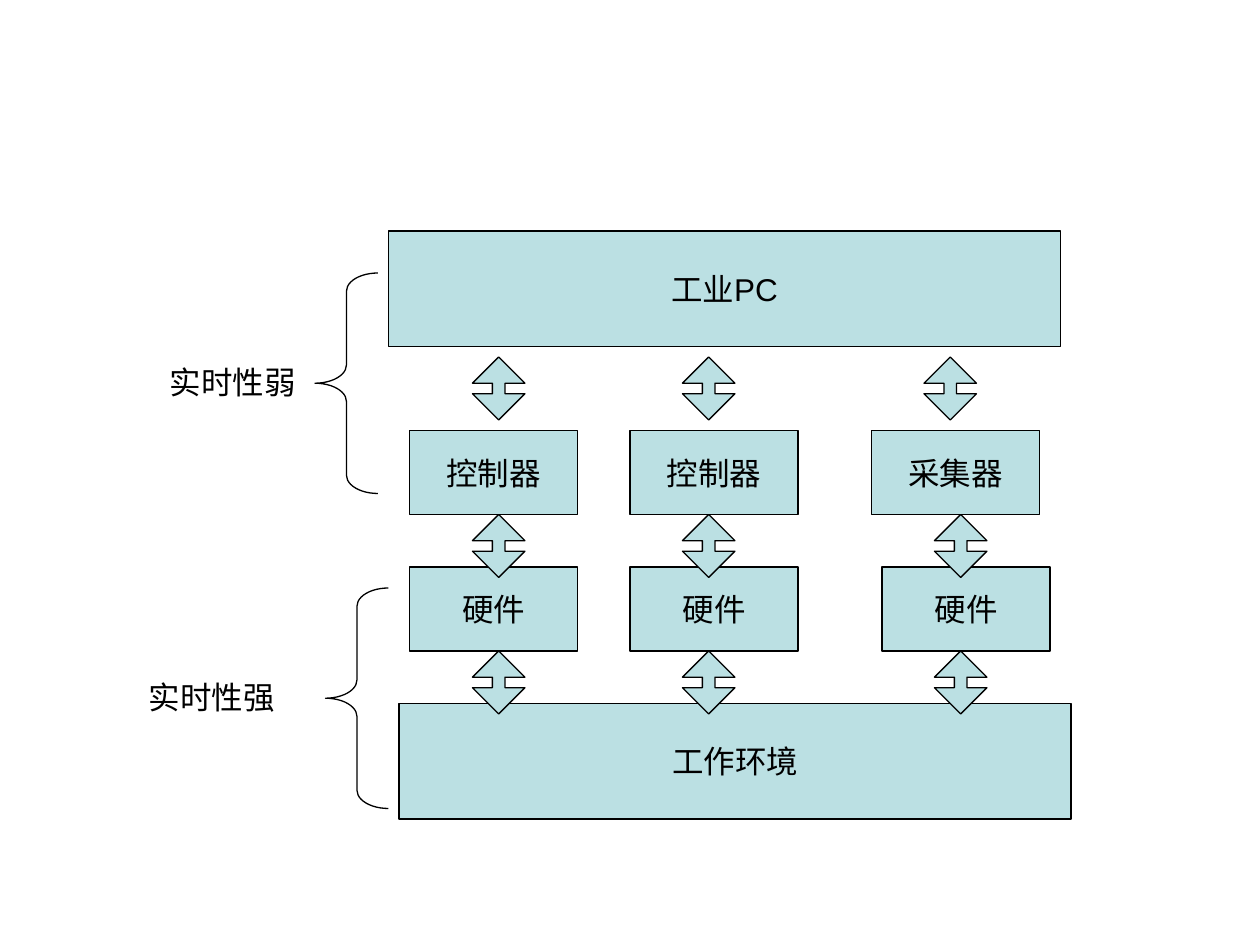
from pptx import Presentation
from pptx.dml.color import RGBColor
from pptx.enum.shapes import MSO_SHAPE
from pptx.enum.text import MSO_ANCHOR, MSO_AUTO_SIZE, PP_ALIGN
from pptx.util import Pt

RECTANGLE = MSO_SHAPE.RECTANGLE
DOUBLE_ARROW = MSO_SHAPE.UP_DOWN_ARROW
LEFT_BRACE = MSO_SHAPE.LEFT_BRACE
MIDDLE = MSO_ANCHOR.MIDDLE
FIT_SHAPE = MSO_AUTO_SIZE.SHAPE_TO_FIT_TEXT
CENTER = PP_ALIGN.CENTER

COLORS = {"fill": "BBE0E3", "ink": "000000"}
FONT = "Arial"
BAR_SIZE = (384, 66)
UNIT_SIZE = (96, 48)
ARROW_SIZE = (30, 36)
BRACE_SIZE = (36, 126)
LABEL_SIZE = (120, 29)


def color(name):
    return RGBColor.from_string(COLORS[name])


def write(text_frame, text):
    text_frame.text = text
    paragraph = text_frame.paragraphs[0]
    font = paragraph.runs[0].font
    font.name, font.size = FONT, Pt(18)
    font.color.rgb = color("ink")
    return paragraph


def add_outlined(slide, kind, left, top, size, filled=True):
    shape = slide.shapes.add_shape(kind, Pt(left), Pt(top), Pt(size[0]), Pt(size[1]))
    shape.shadow.inherit = False
    if filled:
        shape.fill.solid()
        shape.fill.fore_color.rgb = color("fill")
    else:
        shape.fill.background()
    shape.line.color.rgb = color("ink")
    shape.line.width = Pt(0.75)
    return shape


def add_box(slide, left, top, size, text):
    shape = add_outlined(slide, RECTANGLE, left, top, size)
    shape.text_frame.word_wrap = False
    shape.text_frame.vertical_anchor = MIDDLE
    write(shape.text_frame, text).alignment = CENTER


def add_layers(slide, left, top):
    """Stack the PC, its units, their hardware and the environment."""
    add_box(slide, left, top, BAR_SIZE, "工业PC")
    unit_rows = [
        (114, [(12, "控制器"), (138, "控制器"), (276, "采集器")]),
        (192, [(12, "硬件"), (138, "硬件"), (282, "硬件")]),
    ]
    for row_top, units in unit_rows:
        for unit_left, text in units:
            add_box(slide, left + unit_left, top + row_top, UNIT_SIZE, text)
    add_box(slide, left + 6, top + 270, BAR_SIZE, "工作环境")

    # Arrows between neighbouring layers
    arrow_rows = [(72, (48, 168, 306)), (162, (48, 168, 312)), (240, (48, 168, 312))]
    for row_top, arrow_lefts in arrow_rows:
        for arrow_left in arrow_lefts:
            arrow = add_outlined(slide, DOUBLE_ARROW, left + arrow_left,
                                 top + row_top, ARROW_SIZE)
            arrow.adjustments[0] = 0.5
            arrow.adjustments[1] = 0.24


def add_brace_label(slide, left, top, brace_offset, text):
    """Place a label with a brace to its right, centred on the label."""
    brace = add_outlined(slide, LEFT_BRACE, left + brace_offset, top,
                         BRACE_SIZE, filled=False)
    brace.adjustments[0] = 0.29
    brace.adjustments[1] = 0.5
    label = slide.shapes.add_textbox(Pt(left), Pt(top + 48),
                                     Pt(LABEL_SIZE[0]), Pt(LABEL_SIZE[1]))
    label.text_frame.word_wrap = True
    label.text_frame.auto_size = FIT_SHAPE
    write(label.text_frame, text).space_before = Pt(11.2)


def main():
    presentation = Presentation()
    presentation.slide_width, presentation.slide_height = Pt(720), Pt(540)
    slide = presentation.slides.add_slide(presentation.slide_layouts[6])
    add_layers(slide, 222, 132)
    add_brace_label(slide, 78, 336, 108, "实时性强")
    add_brace_label(slide, 90, 156, 90, "实时性弱")
    presentation.save("out.pptx")


if __name__ == "__main__":
    main()
